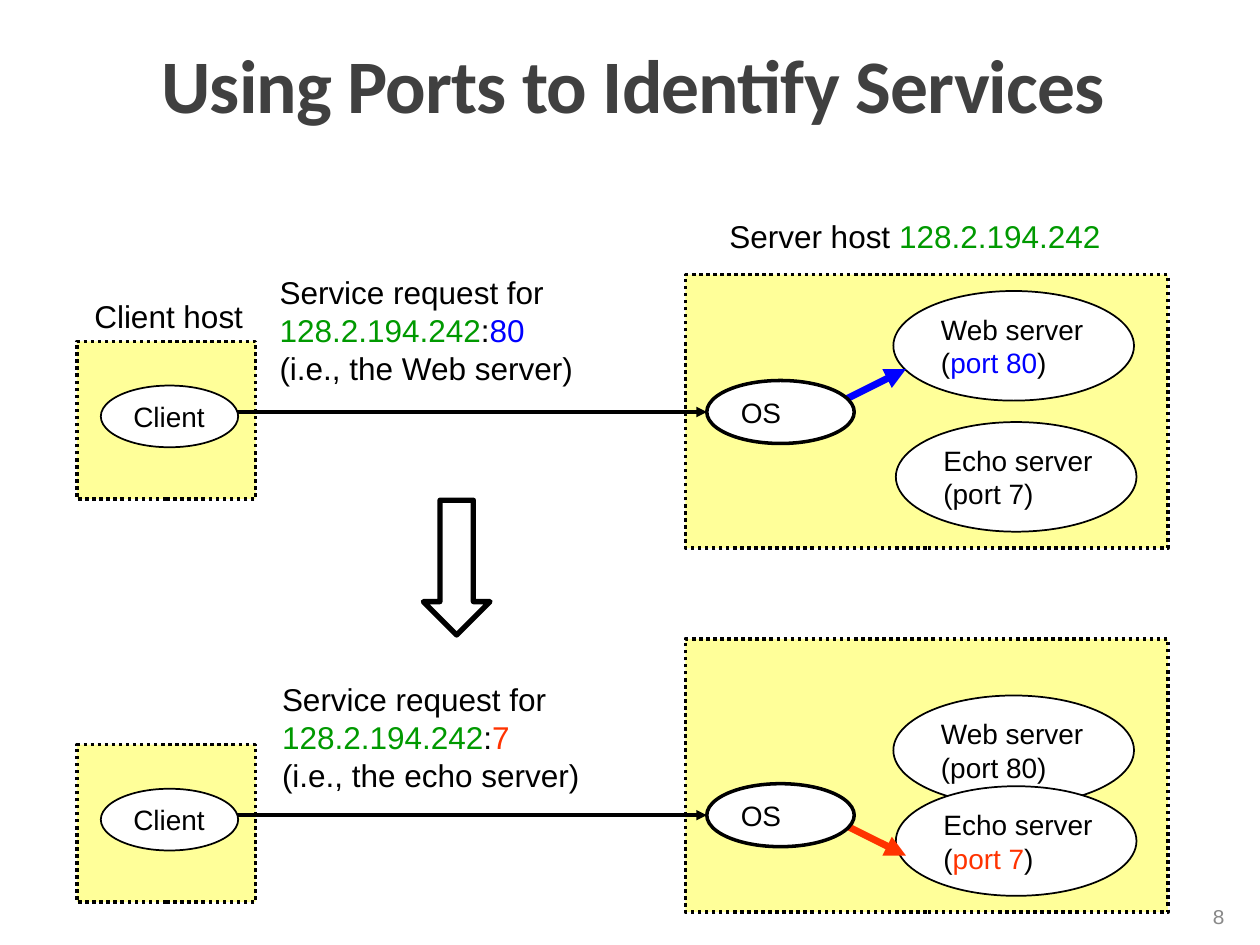
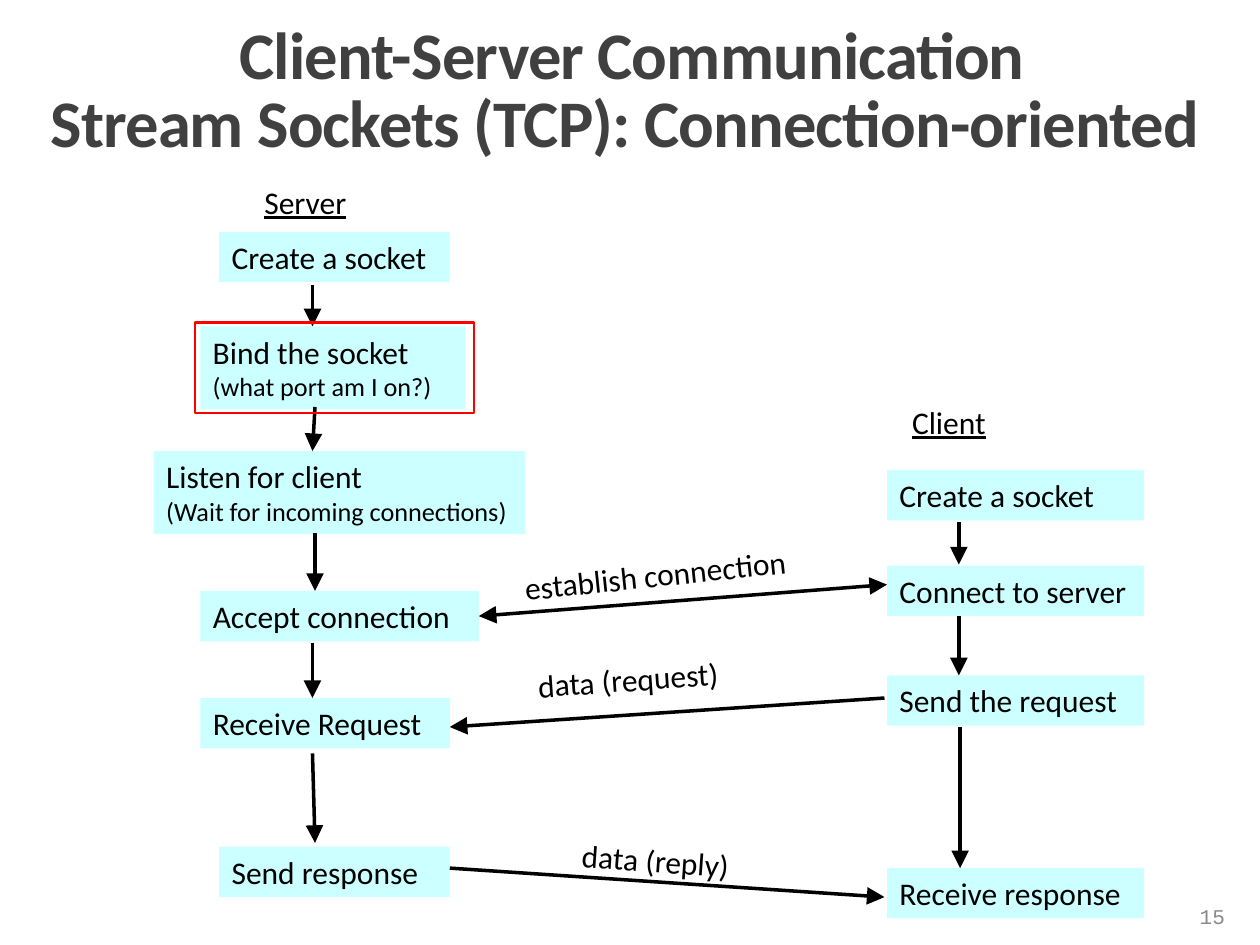
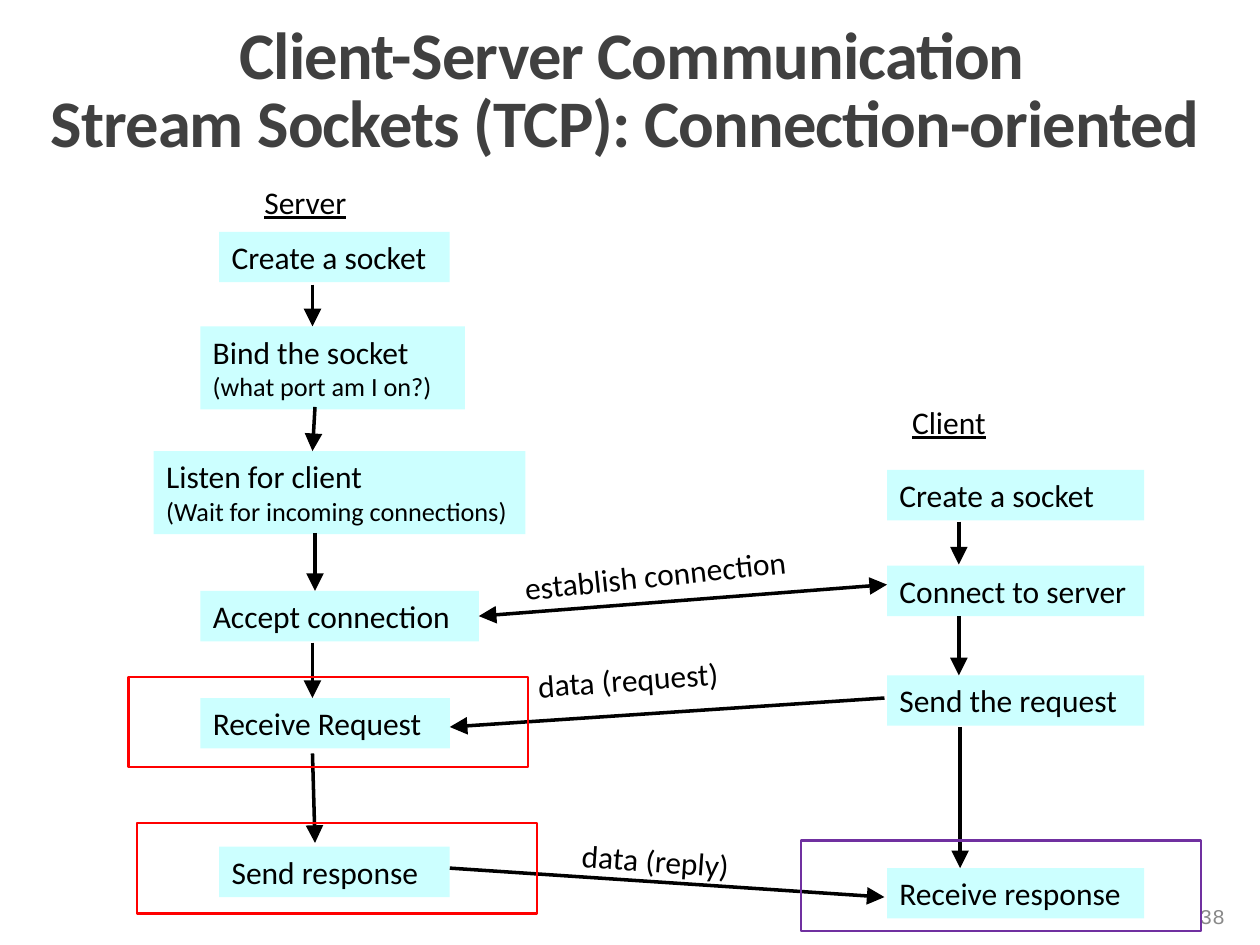
from dataclasses import dataclass

import pptx
import pptx.dml.color
import pptx.enum.dml
import pptx.enum.shapes
import pptx.enum.text
import pptx.oxml.xmlchemy
import pptx.util

COLORS = {
    "black": "000000", "white": "FFFFFF", "title": "404040", "number": "898989",
    "host": "FFFF99", "step": "CCFFFF", "address": "009900", "web": "0000FF",
    "echo": "FF3300", "server_mark": "FF0000", "client_mark": "7030A0",
}
Inches = pptx.util.Inches
SHAPE = pptx.enum.shapes.MSO_SHAPE
ALIGN = pptx.enum.text.PP_ALIGN
ANCHOR = pptx.enum.text.MSO_ANCHOR
FIT = pptx.enum.text.MSO_AUTO_SIZE
ADDRESS = "128.2.194.242"
TCP_TITLE = ["Client-Server Communication", "Stream Sockets (TCP): Connection-oriented "]

SERVER_STEPS = [
    (0.52, 0.44, 1.83, 0.4, "Create a socket", None),
    (0.37, 1.19, 2.1, 0.66, "Bind the socket", "(what port am I on?)"),
    (0, 2.18, 2.95, 0.66, "Listen for client", "(Wait for incoming connections)"),
    (0.37, 3.29, 2.21, 0.4, "Accept connection", None),
    (0.37, 4.14, 1.98, 0.4, "Receive Request", None),
    (0.52, 5.32, 1.83, 0.4, "Send response", None),
]
SERVER_ARROWS = [
    (1.26, 0.86, 1.26, 1.19), (1.28, 1.83, 1.26, 2.18), (1.28, 2.83, 1.28, 3.29),
    (1.26, 3.7, 1.26, 4.14), (1.26, 4.58, 1.28, 5.29),
]
CLIENT_STEPS = [
    (0, top, 2.04, 0.4, label, None)
    for top, label in [(0.58, "Create a socket"), (1.34, "Connect to server"),
                       (2.21, "Send the request"), (3.74, "Receive response")]
]
CLIENT_ARROWS = [(0.57, 0.99, 0.57, 1.33), (0.57, 1.74, 0.57, 2.21),
                 (0.58, 2.62, 0.58, 3.74)]


@dataclass
class Run:
    """A stretch of text with its look."""
    text: str
    color: str = "black"
    size: float = 18
    font: str = "Arial"
    underline: bool = False


def rgb(name):
    """Return the named colour."""
    return pptx.dml.color.RGBColor.from_string(COLORS[name])


def add_run(paragraph, run):
    """Append one formatted run and return it."""
    added = paragraph.add_run()
    added.text = run.text
    added.font.name = run.font
    added.font.size = pptx.util.Pt(run.size)
    added.font.color.rgb = rgb(run.color)
    if run.underline:
        added.font.underline = True
    return added


def write(shape, paragraphs, wrap=False, grow=True, anchor=ANCHOR.TOP, align=ALIGN.LEFT):
    """Fill a shape with paragraphs, each a list of runs."""
    frame = shape.text_frame
    frame.word_wrap = wrap
    frame.auto_size = FIT.SHAPE_TO_FIT_TEXT if grow else FIT.NONE
    frame.vertical_anchor = anchor
    for index, runs in enumerate(paragraphs):
        paragraph = frame.paragraphs[0] if index == 0 else frame.add_paragraph()
        paragraph.alignment = align
        for run in runs:
            add_run(paragraph, run)


def add_label(slide, left, top, width, height, paragraphs, rotation=0, **layout):
    """Place a text box."""
    label = slide.shapes.add_textbox(Inches(left), Inches(top), Inches(width), Inches(height))
    label.rotation = rotation
    write(label, paragraphs, **layout)


def add_figure(slide, kind, left, top, width, height, fill=None, line=None, weight=1.0):
    """Place a preset shape with optional fill and outline."""
    figure = slide.shapes.add_shape(
        kind, Inches(left), Inches(top), Inches(width), Inches(height))
    figure.shadow.inherit = False
    if fill:
        figure.fill.solid()
        figure.fill.fore_color.rgb = rgb(fill)
    else:
        figure.fill.background()
    if line:
        figure.line.color.rgb = rgb(line)
        figure.line.width = pptx.util.Pt(weight)
    else:
        figure.line.fill.background()
    return figure


def add_arrow(slide, x1, y1, x2, y2, color="black", weight=2, head="med", both=False):
    """Draw a straight arrow, with heads at both ends if asked."""
    arrow = slide.shapes.add_connector(
        pptx.enum.shapes.MSO_CONNECTOR.STRAIGHT,
        Inches(x1), Inches(y1), Inches(x2), Inches(y2))
    arrow.line.color.rgb = rgb(color)
    arrow.line.width = pptx.util.Pt(weight)
    properties = arrow.line._get_or_add_ln()
    for end in ["headEnd", "tailEnd"] if both else ["tailEnd"]:
        tip = pptx.oxml.xmlchemy.OxmlElement(f"a:{end}")
        for key, value in [("type", "triangle"), ("w", head), ("len", head)]:
            tip.set(key, value)
        properties.append(tip)
    arrow._element.spPr.append(pptx.oxml.xmlchemy.OxmlElement("a:effectLst"))


def start_slide(deck, title_lines, title_box, title_size, number):
    """Add a slide with its title and slide number."""
    slide = deck.slides.add_slide(deck.slide_layouts[5])
    title = slide.shapes.title
    title.left, title.top, title.width, title.height = map(Inches, title_box)
    frame = title.text_frame
    frame.word_wrap = True
    frame.auto_size = FIT.NONE
    frame.vertical_anchor = ANCHOR.BOTTOM
    paragraph = frame.paragraphs[0]
    paragraph.alignment = ALIGN.CENTER
    paragraph.line_spacing = 0.85
    for index, line in enumerate(title_lines):
        if index:
            paragraph.add_line_break()
        run = add_run(paragraph, Run(line, "title", title_size, "Calibri"))
        run.font.bold = True
        run.font._element.set("spc", "-50")
    add_label(slide, 8.74, 7.07, 1.08, 0.4, [[Run(number, "number", 12, "Courier New")]],
              wrap=True, grow=False, anchor=ANCHOR.MIDDLE, align=ALIGN.RIGHT)
    return slide


def add_host(slide, left, top, width, height):
    """Draw the dotted box of a host."""
    host = add_figure(slide, SHAPE.RECTANGLE, left, top, width, height, "host", "black", 2)
    host.line.dash_style = pptx.enum.dml.MSO_LINE.ROUND_DOT


def add_process(slide, left, top, width, height, paragraphs, weight=1, grow=False):
    """Draw the oval of a process running on a host."""
    process = add_figure(slide, SHAPE.OVAL, left, top, width, height, "white", "black", weight)
    write(process, paragraphs, grow=grow, anchor=ANCHOR.MIDDLE)


def add_service(slide, left, top, name, port, color):
    """Draw a server process with its port in the given colour."""
    add_process(slide, left, top, 1.91, 0.87, [
        [Run(name, size=16)],
        [Run("(", size=16), Run(port, color, 16), Run(")", size=16)]])


def server_host(slide, left, top, web_top, os_top, chosen):
    """Draw the server host, whose OS forwards to the chosen service."""
    add_host(slide, left, top, 3.83, 2.17)
    services = [("web", 1.65, web_top, "Web server", "port 80"),
                ("echo", 1.67, 1.17, "Echo server", "port 7")]
    for key, dx, dy, name, port in services:
        add_service(slide, left + dx, top + dy, name, port, key if key == chosen else "black")
    start, end = (0.16, -0.09) if chosen == "web" else (0.32, 0.57)
    add_arrow(slide, left + 1.25, top + os_top + start,
              left + 1.75, top + os_top + end, chosen, 4)
    add_process(slide, left + 0.17, top + os_top, 1.17, 0.5, [[Run("OS", size=16)]], 2)


def client_host(slide, left, top):
    """Draw the client host and the arrow of its request."""
    add_host(slide, left, top, 1.42, 1.25)
    add_arrow(slide, left + 1.25, top + 0.56, left + 5, top + 0.56)
    add_process(slide, left + 0.19, top + 0.35, 1.09, 0.49, [[Run("Client", size=16)]],
                grow=True)


def request_label(slide, left, top, width, port, color, service):
    """Describe the request by address, port and service."""
    add_label(slide, left, top, width, 1.1, [
        [Run("Service request for")],
        [Run(ADDRESS, "address"), Run(":"), Run(port, color)],
        [Run(f"(i.e., the {service} server)")]])


def ports_slide(deck):
    """Build the slide on ports."""
    slide = start_slide(deck, ["Using Ports to Identify Services"],
                        (0.9, 0.04, 8.25, 1.03), 43.2, "8")
    server_host(slide, 5.44, 2.18, 0.13, 0.84, "web")
    server_host(slide, 5.44, 5.07, 0.45, 1.15, "echo")
    for top in (2.71, 5.91):
        client_host(slide, 0.61, top)
    add_label(slide, 0.65, 2.31, 1.49, 0.4, [[Run("Client host")]])
    add_label(slide, 5.69, 1.67, 3.24, 0.4, [[Run("Server host "), Run(ADDRESS, "address")]])
    request_label(slide, 2.12, 2.12, 3.21, "80", "web", "Web")
    request_label(slide, 2.14, 5.35, 2.97, "7", "echo", "echo")
    then = add_figure(slide, SHAPE.DOWN_ARROW, 3.36, 3.97, 0.53, 1.07, line="black", weight=3)
    then.adjustments[1] = 0.5


def role_column(slide, left, top, role, role_dx, steps, arrows):
    """Draw one side of the exchange: heading, steps and arrows."""
    add_label(slide, left + role_dx, top, 1.2, 0.43,
              [[Run(role, font="Calibri", underline=True)]])
    for dx, dy, width, height, action, note in steps:
        step = add_figure(slide, SHAPE.RECTANGLE, left + dx, top + dy, width, height, "step")
        paragraphs = [[Run(action, font="Calibri")]]
        if note:
            paragraphs.append([Run(note, size=15, font="Calibri")])
        write(step, paragraphs, wrap=True)
    for x1, y1, x2, y2 in arrows:
        add_arrow(slide, left + x1, top + y1, left + x2, top + y2, head="lg")


def messages(slide, left, top):
    """Draw the messages between server and client."""
    for x1, y1, x2, y2, both in [(3.47, 0.29, 0.23, 0.54, True),
                                 (3.45, 1.19, 0, 1.42, False),
                                 (0, 2.54, 3.45, 2.77, False)]:
        add_arrow(slide, left + x1, top + y1, left + x2, top + y2, head="lg", both=both)
    for dx, dy, width, text, rotation, wrap in [
            (0.49, 0, 2.5, "establish connection", 354, True),
            (0.6, 0.84, 1.66, "data (request)", 356, False),
            (0.95, 2.28, 1.39, "data (reply)", 4.1, False)]:
        add_label(slide, left + dx, top + dy, width, 0.4, [[Run(text, font="Calibri")]],
                  rotation, wrap=wrap)


def stream_slide(deck, number, marks):
    """Build a slide on stream sockets with the marked steps framed."""
    slide = start_slide(deck, TCP_TITLE, (0.18, 0.08, 9.67, 1.25), 38, number)
    role_column(slide, 1.22, 1.4, "Server", 0.78, SERVER_STEPS, SERVER_ARROWS)
    role_column(slide, 7.04, 3.15, "Client", 0.1, CLIENT_STEPS, CLIENT_ARROWS)
    messages(slide, 3.57, 4.35)
    for left, top, width, color in marks:
        add_figure(slide, SHAPE.RECTANGLE, left, top, width, 0.72, line=color, weight=1.25)


def main():
    """Build the deck and save it."""
    deck = pptx.Presentation()
    deck.slide_width, deck.slide_height = Inches(10), Inches(7.5)
    ports_slide(deck)
    stream_slide(deck, "15", [(1.55, 2.56, 2.21, "server_mark")])
    stream_slide(deck, "38", [(6.36, 6.67, 3.17, "client_mark"),
                              (1.02, 5.37, 3.17, "server_mark"),
                              (1.09, 6.53, 3.17, "server_mark")])
    deck.save("out.pptx")


if __name__ == "__main__":
    main()
